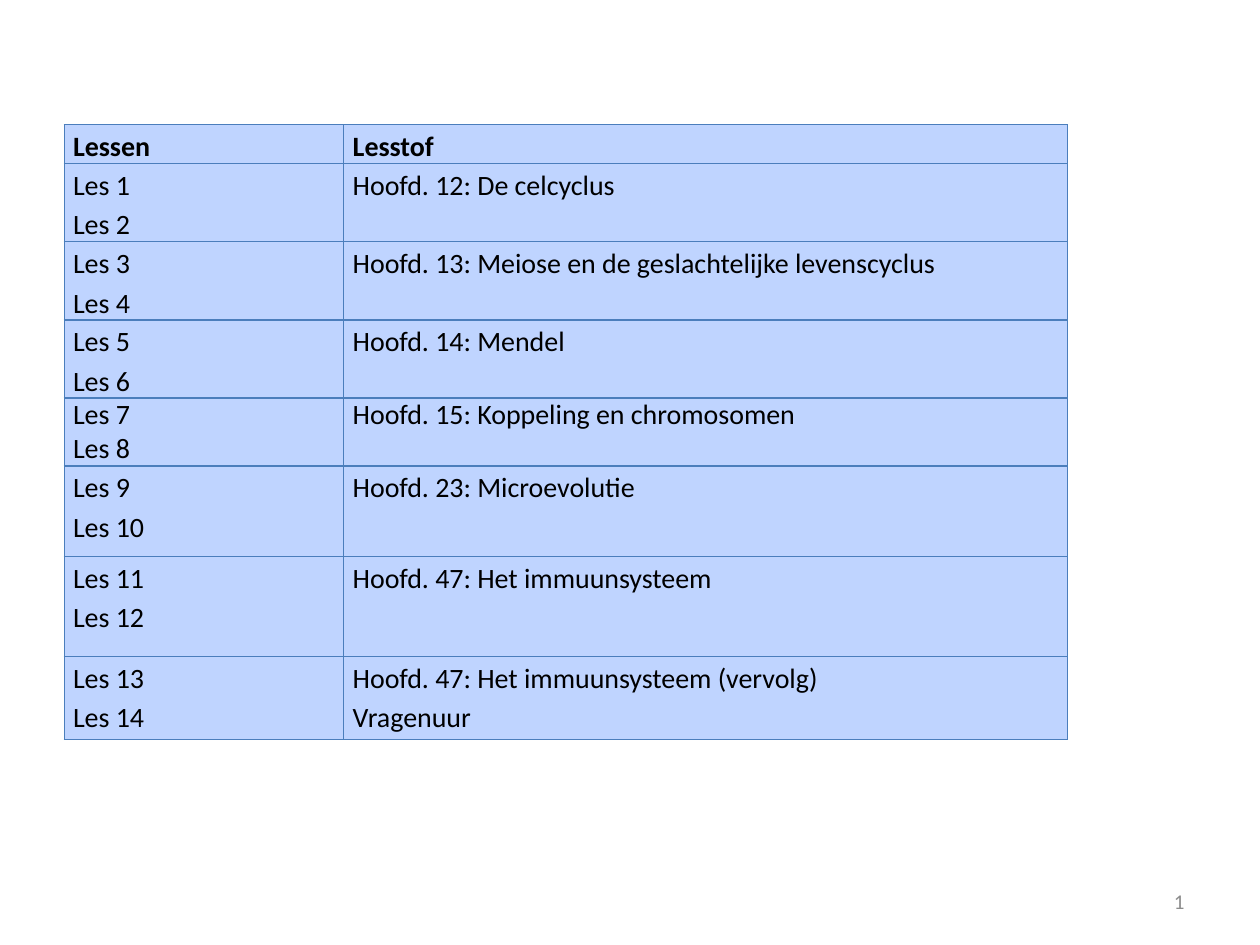
from dataclasses import dataclass

from lxml.etree import SubElement
from pptx import Presentation
from pptx.dml.color import RGBColor
from pptx.enum.text import MSO_ANCHOR, PP_ALIGN
from pptx.oxml.ns import qn
from pptx.table import _Cell
from pptx.util import Inches, Pt

COLORS = {"fill": "BFD4FF", "border": "4B7EBC", "text": "000000", "page": "8C8C8C"}
FONT = "Calibri"
COLUMN_WIDTHS = (2.22, 5.74)


@dataclass
class LessonRow:
    lessons: list[str]
    topics: list[str]
    height: float
    line_spacing: float = 1.15
    bold: bool = False


SCHEDULE = [
    LessonRow(["Lessen"], ["Lesstof"], 0.31, bold=True),
    LessonRow(["Les 1", "Les 2"], ["Hoofd. 12: De celcyclus"], 0.62),
    LessonRow(["Les 3", "Les 4"], ["Hoofd. 13: Meiose en de geslachtelijke levenscyclus"], 0.62),
    LessonRow(["Les 5", "Les 6"], ["Hoofd. 14: Mendel"], 0.62),
    LessonRow(["Les 7", "Les 8"], ["Hoofd. 15: Koppeling en chromosomen"], 0.54, line_spacing=1.0),
    LessonRow(["Les 9", "Les 10"], ["Hoofd. 23: Microevolutie"], 0.72),
    LessonRow(["Les 11", "Les 12"], ["Hoofd. 47: Het immuunsysteem"], 0.79),
    LessonRow(["Les 13", "Les 14"], ["Hoofd. 47: Het immuunsysteem (vervolg)", "Vragenuur"], 0.66),
]


def add_borders(cell: _Cell) -> None:
    properties = cell._tc.get_or_add_tcPr()
    for side in ("a:lnL", "a:lnR", "a:lnT", "a:lnB"):
        line = SubElement(properties, qn(side), w=str(Pt(0.75)))
        SubElement(SubElement(line, qn("a:solidFill")), qn("a:srgbClr"), val=COLORS["border"])


def fill_cell(cell: _Cell, lines: list[str], row: LessonRow) -> None:
    add_borders(cell)
    cell.fill.solid()
    cell.fill.fore_color.rgb = RGBColor.from_string(COLORS["fill"])
    cell.margin_left = cell.margin_right = Inches(0.07)
    cell.margin_top = cell.margin_bottom = Inches(0)
    cell.text = "\n".join(lines)
    for paragraph in cell.text_frame.paragraphs:
        paragraph.line_spacing = row.line_spacing
        paragraph.font.name = FONT
        paragraph.font.size = Pt(16)
        paragraph.font.bold = row.bold
        paragraph.font.color.rgb = RGBColor.from_string(COLORS["text"])


def add_schedule(slide) -> None:
    schedule = slide.shapes.add_table(
        len(SCHEDULE), len(COLUMN_WIDTHS), Inches(0.51), Inches(0.99),
        Inches(sum(COLUMN_WIDTHS)), Inches(sum(row.height for row in SCHEDULE)),
    ).table
    for column, width in zip(schedule.columns, COLUMN_WIDTHS):
        column.width = Inches(width)
    for index, row in enumerate(SCHEDULE):
        schedule.rows[index].height = Inches(row.height)
        fill_cell(schedule.cell(index, 0), row.lessons, row)
        fill_cell(schedule.cell(index, 1), row.topics, row)


def add_page_number(slide) -> None:
    frame = slide.shapes.add_textbox(Inches(7.17), Inches(6.95), Inches(2.33), Inches(0.4)).text_frame
    frame.word_wrap = True
    frame.vertical_anchor = MSO_ANCHOR.MIDDLE
    frame.text = "1"
    number = frame.paragraphs[0]
    number.alignment = PP_ALIGN.RIGHT
    number.font.name = FONT
    number.font.size = Pt(12)
    number.font.color.rgb = RGBColor.from_string(COLORS["page"])


def main() -> None:
    presentation = Presentation()
    presentation.slide_width = Inches(10)
    presentation.slide_height = Inches(7.5)
    slide = presentation.slides.add_slide(presentation.slide_layouts[6])
    add_page_number(slide)
    add_schedule(slide)
    presentation.save("out.pptx")


if __name__ == "__main__":
    main()
